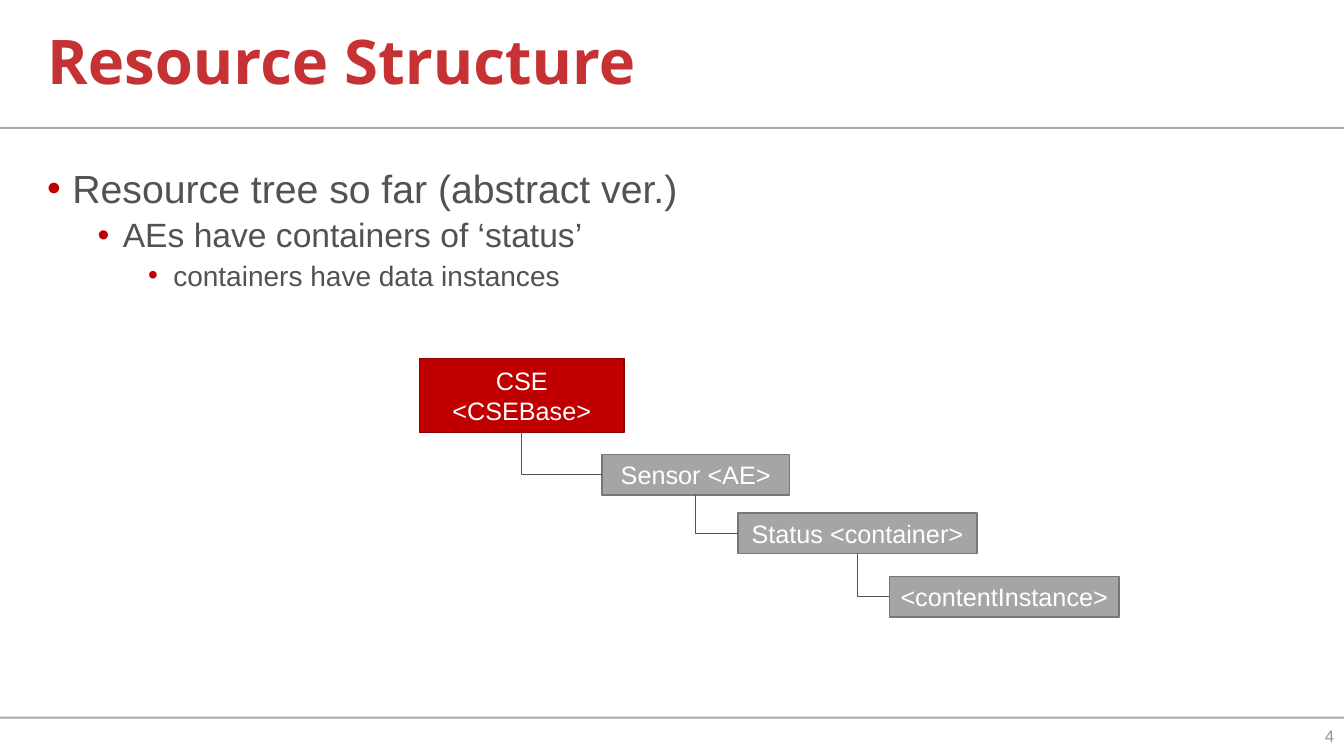
from lxml.etree import SubElement
from pptx import Presentation
from pptx.dml.color import RGBColor
from pptx.enum.shapes import MSO_CONNECTOR, MSO_SHAPE
from pptx.enum.text import MSO_ANCHOR, PP_ALIGN
from pptx.oxml.ns import qn
from pptx.util import Inches, Pt

# Content
TITLE = "Resource Structure"
PAGE_NUMBER = "4"
BULLETS = [  # text, size; each one a level deeper
    ("Resource tree so far (abstract ver.)", 28),
    ("AEs have containers of ‘status’", 24),
    ("containers have data instances", 20),
]
TREE = [  # text, (left, top, width, height), fill, outline; each the child of the one before
    ("CSE <CSEBase>", (4.16, 3.56, 2.03, 0.73), "root", "root_edge"),
    ("Sensor <AE>", (5.97, 4.51, 1.86, 0.4), "node", "node_edge"),
    ("Status <container>", (7.32, 5.09, 2.37, 0.4), "node", "node_edge"),
    ("<contentInstance>", (8.82, 5.72, 2.28, 0.4), "node", "node_edge"),
]
RULE_TOPS = [1.26, 7.11]
COLORS = {
    "title": "C63133", "text": "545054", "number": "979597", "rule": "A7A9AC",
    "root": "C00000", "root_edge": "8C0000", "node": "A5A5A5", "node_edge": "787878",
    "white": "FFFFFF",
}
BOTTOM_SITE, LEFT_SITE = 2, 1

deck = Presentation()
deck.slide_width, deck.slide_height = Inches(13.33), Inches(7.5)
slide = deck.slides.add_slide(deck.slide_layouts[6])


def color(name):
    return RGBColor.from_string(COLORS[name])


def add_box(box, fill, edge=None):
    shape = slide.shapes.add_shape(MSO_SHAPE.RECTANGLE, *map(Inches, box))
    shape.shadow.inherit = False
    shape.fill.solid()
    shape.fill.fore_color.rgb = color(fill)
    if edge:
        shape.line.color.rgb = color(edge)
        shape.line.width = Pt(1)
    else:
        shape.line.fill.background()
    return shape


def add_text_area(box, anchor):
    frame = slide.shapes.add_textbox(*map(Inches, box)).text_frame
    frame.word_wrap = True
    frame.vertical_anchor = anchor
    return frame


def write(paragraph, text, size, ink, font="Arial", bold=False):
    paragraph.text = text
    paragraph.font.size = Pt(size)
    paragraph.font.name = font
    paragraph.font.bold = bold
    paragraph.font.color.rgb = color(ink)


def add_bullet(paragraph, level):
    props = paragraph._p.get_or_add_pPr()
    props.set("marL", str(Inches(0.25 + 0.5 * level)))
    props.set("indent", str(Inches(-0.25)))
    bullet_color = SubElement(props, qn("a:buClr"))
    SubElement(bullet_color, qn("a:srgbClr"), val=COLORS["root"])
    SubElement(props, qn("a:buFont"), typeface="Arial")
    SubElement(props, qn("a:buChar"), char="•")


def connect(parent, child):
    """Elbow that drops from the parent's bottom centre, then runs to the child's left side."""
    x, y = parent.left + parent.width // 2, parent.top + parent.height
    run, drop = child.left - x, child.top + child.height // 2 - y
    elbow = slide.shapes.add_connector(MSO_CONNECTOR.ELBOW, x, y, x + run, y + drop)
    elbow.begin_connect(parent, BOTTOM_SITE)
    elbow.end_connect(child, LEFT_SITE)
    # One-bend elbow, turned by 270 degrees about its centre
    elbow.left, elbow.top = x + (run - drop) // 2, y + (drop - run) // 2
    elbow.width, elbow.height = drop, run
    props = elbow._element.spPr
    props.find(qn("a:prstGeom")).set("prst", "bentConnector2")
    frame = props.find(qn("a:xfrm"))
    frame.set("rot", str(270 * 60000))
    frame.set("flipH", "1")
    elbow.line.color.rgb = color("text")
    elbow.line.width = Pt(0.75)
    SubElement(props, qn("a:effectLst"))


# Rules under the title and above the footer
for top in RULE_TOPS:
    add_box((0, top, 13.33, 0.02), "rule")

# Title
heading = add_text_area((0.37, 0, 8.59, 1.28), MSO_ANCHOR.MIDDLE).paragraphs[0]
write(heading, TITLE, 44, "title", font="Open Sans", bold=True)
heading.line_spacing = 0.9

# Bullets
body = add_text_area((0.37, 1.63, 9.22, 3.73), MSO_ANCHOR.TOP)
for level, (text, size) in enumerate(BULLETS):
    item = body.add_paragraph() if level else body.paragraphs[0]
    write(item, text, size, "text")
    item.level = level
    item.line_spacing = 0.9
    item.space_before = Pt(5 if level else 0)
    add_bullet(item, level)

# Page number
number = add_text_area((12.79, 7.1, 0.54, 0.4), MSO_ANCHOR.MIDDLE).paragraphs[0]
write(number, PAGE_NUMBER, 12, "number")
number.alignment = PP_ALIGN.RIGHT

# Resource tree
nodes = []
for text, box, fill, edge in TREE:
    node = add_box(box, fill, edge)
    node.text_frame.word_wrap = True
    node.text_frame.vertical_anchor = MSO_ANCHOR.MIDDLE
    label = node.text_frame.paragraphs[0]
    write(label, text, 18, "white")
    label.alignment = PP_ALIGN.CENTER
    nodes.append(node)
for parent, child in zip(nodes, nodes[1:]):
    connect(parent, child)

deck.save("out.pptx")
